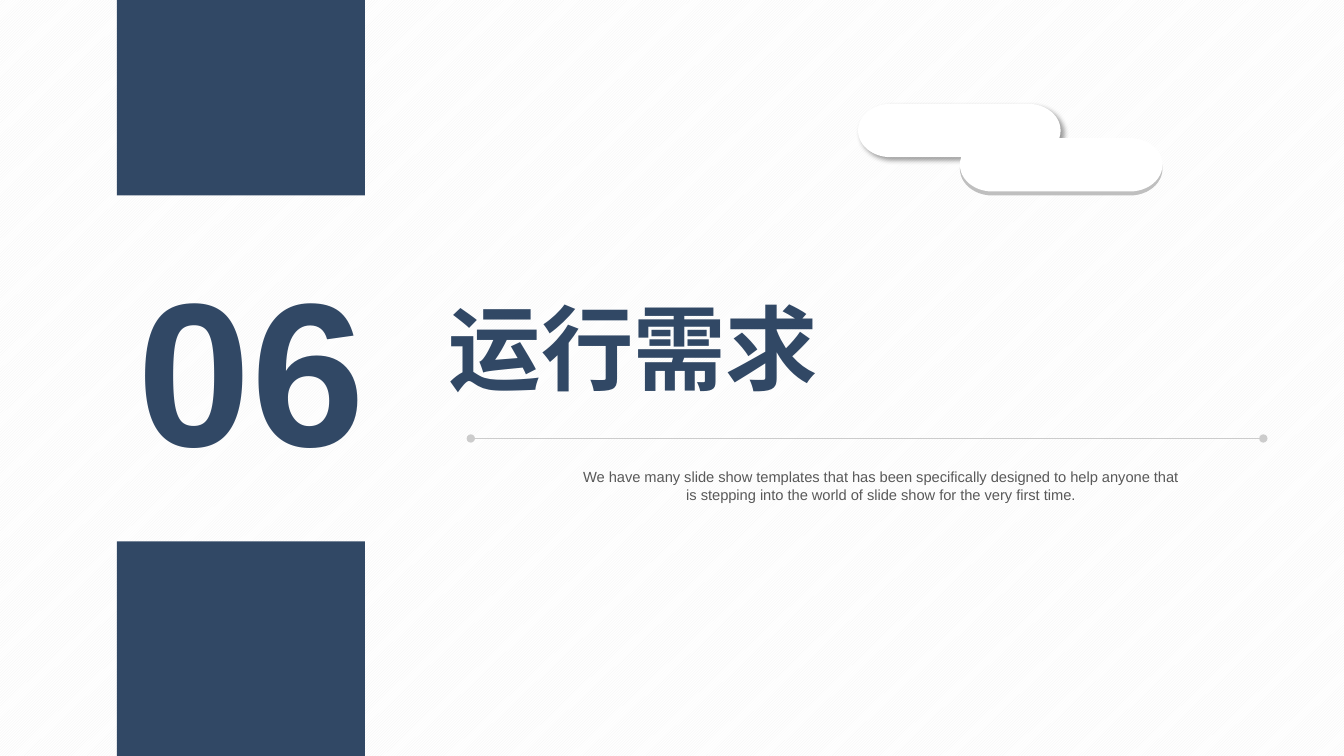
from lxml.etree import SubElement
from pptx import Presentation
from pptx.dml.color import RGBColor
from pptx.enum.dml import MSO_PATTERN
from pptx.enum.shapes import MSO_CONNECTOR, MSO_SHAPE
from pptx.enum.text import MSO_ANCHOR, MSO_AUTO_SIZE, PP_ALIGN
from pptx.oxml.ns import qn
from pptx.util import Pt

PX = 9144
NAVY, WHITE, GREY, RULE, BODY = "314865", "FFFFFF", "BFBFBF", "CCCCCC", "595959"


def px(*lengths):
    """Turn px lengths into EMU."""
    return [length * PX for length in lengths]


def color(hex_value):
    """Turn a hex string into a colour."""
    return RGBColor.from_string(hex_value)


def write(holder, text, size, ink=NAVY, bold=False, align=PP_ALIGN.LEFT):
    """Put formatted text into a text box or placeholder without insets."""
    frame = holder.text_frame
    frame.word_wrap = True
    frame.auto_size = MSO_AUTO_SIZE.SHAPE_TO_FIT_TEXT
    frame.vertical_anchor = MSO_ANCHOR.TOP
    frame.margin_left = frame.margin_top = frame.margin_right = frame.margin_bottom = 0
    paragraph = frame.paragraphs[0]
    paragraph.alignment = align
    run = paragraph.add_run()
    run.text = text
    run.font.name, run.font.size, run.font.bold = "Arial", Pt(size), bold
    run.font.color.rgb = color(ink)


def block(shapes, kind, box, fill):
    """Add a filled preset shape without outline or shadow."""
    shape = shapes.add_shape(kind, *px(*box))
    shape.shadow.inherit = False
    shape.fill.solid()
    shape.fill.fore_color.rgb = color(fill)
    shape.line.fill.background()
    return shape


def cast_shadow(shape):
    """Give a shape a soft shadow to the lower right."""
    effects = shape._element.spPr.find(qn("a:effectLst"))
    shadow = SubElement(effects, qn("a:outerShdw"), blurRad=str(Pt(4)), dist=str(Pt(3)),
                        dir="2700000", algn="tl", rotWithShape="0")
    black = SubElement(shadow, qn("a:srgbClr"), val="000000")
    SubElement(black, qn("a:alpha"), val="40000")


def number_column(slide, left, width, height):
    """Place the section number between two navy blocks."""
    for top, bottom in ((0, 194), (537, height)):
        block(slide.shapes, MSO_SHAPE.RECTANGLE, (left, top, width, bottom - top), NAVY)
    number = slide.shapes.add_textbox(*px(left, 240, width, 246))
    write(number, "06", 146, bold=True, align=PP_ALIGN.RIGHT)


def cloud(slide, left, top):
    """Place two overlapping pills, the lower one on a grey edge."""
    pills = slide.shapes.add_group_shape().shapes
    for dx, dy, fill, shaded in ((101, 38, GREY, False), (0, 0, WHITE, True), (101, 34, WHITE, False)):
        pill = block(pills, MSO_SHAPE.FLOWCHART_TERMINATOR, (left + dx, top + dy, 201, 53), fill)
        if shaded:
            cast_shadow(pill)


def heading(slide, left, top, width):
    """Place the title, the dotted-end rule and the summary."""
    title = slide.shapes.title
    title.left, title.top, title.width, title.height = px(left, top, width, 111)
    write(title, "运行需求", 66, bold=True, align=PP_ALIGN.JUSTIFY)

    rule_y = top + 146
    rule = slide.shapes.add_connector(
        MSO_CONNECTOR.STRAIGHT, *px(left + 22, rule_y, left + width - 22, rule_y))
    rule.line.color.rgb = color(RULE)
    rule.line.width = Pt(1)
    line_xml = rule.line._get_or_add_ln()
    for end in ("a:headEnd", "a:tailEnd"):
        SubElement(line_xml, qn(end), type="oval")
    SubElement(rule._element.spPr, qn("a:effectLst"))

    summary = slide.shapes.add_textbox(*px(left + 133, top + 175, 592, 35))
    write(summary, "We have many slide show templates that has been specifically designed to help "
          "anyone that is stepping into the world of slide show for the very first time.",
          10.5, ink=BODY, align=PP_ALIGN.CENTER)


def section_slide(deck):
    """Build the section opener on a striped background."""
    slide = deck.slides.add_slide(deck.slide_layouts[5])
    backdrop = slide.background.fill
    backdrop.patterned()
    backdrop.pattern = MSO_PATTERN.DARK_UPWARD_DIAGONAL
    backdrop.fore_color.rgb = color("F2F2F2")
    backdrop.back_color.rgb = color(WHITE)
    heading(slide, 445, 289, 830)
    cloud(slide, 851, 103)
    number_column(slide, 116, 246, 750)


def main():
    """Create and save the deck."""
    deck = Presentation()
    deck.slide_width, deck.slide_height = px(1333, 750)
    section_slide(deck)
    deck.save("out.pptx")


if __name__ == "__main__":
    main()
